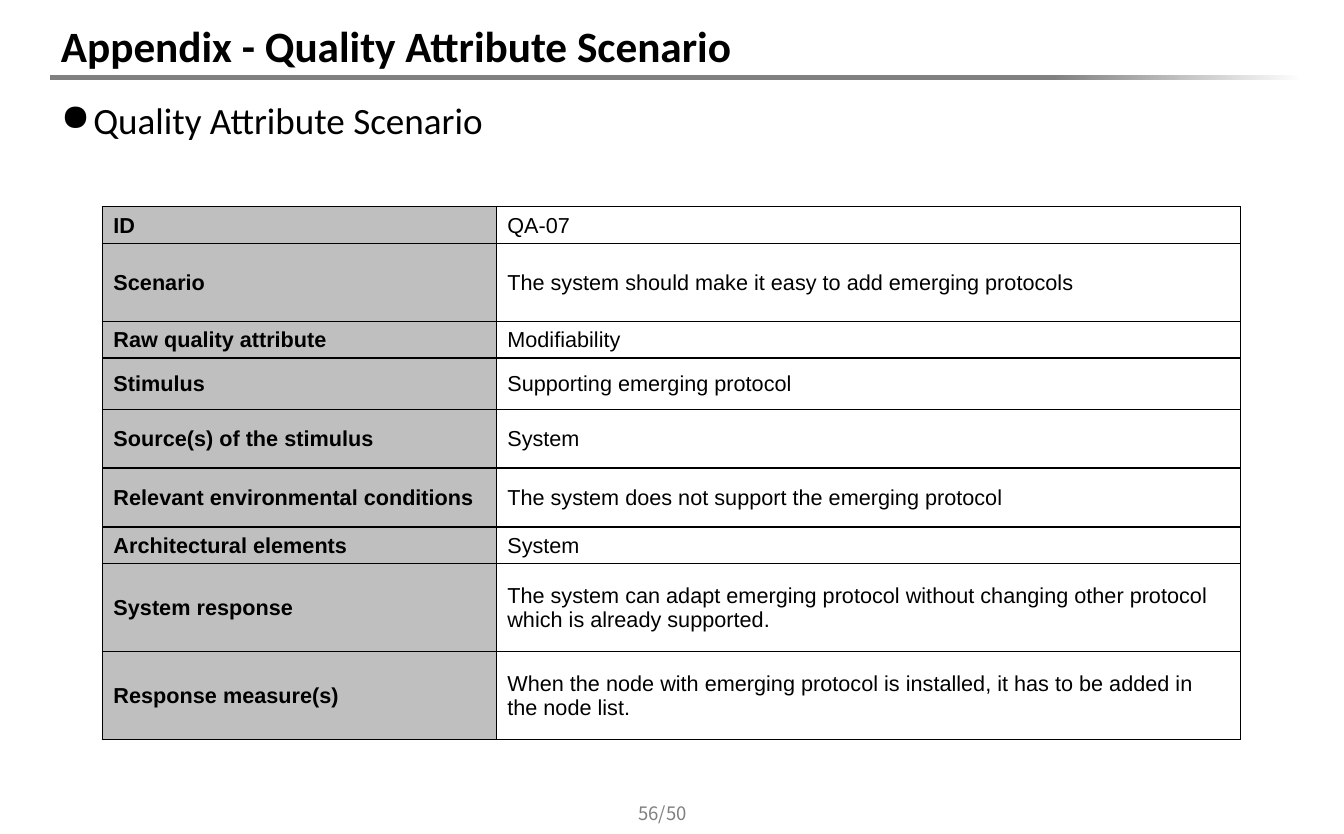
from copy import deepcopy
from lxml import etree
from pptx import Presentation, util as u
from pptx.dml import color
from pptx.enum import shapes, text
from pptx.oxml import ns

I = u.Inches


def rgb(code):
    return color.RGBColor.from_string(code)


def style(frame, words, form, hue="000000", **font):
    frame.word_wrap = True
    for key, val in form.items():
        setattr(frame, key, val)
    par = frame.paragraphs[0]
    run = par.add_run()
    run.text = words
    for key, val in font.items():
        setattr(run.font, key, val)
    run.font.color.rgb = rgb(hue)
    return par


deck = Presentation()
deck.slide_width, deck.slide_height = I(12.08), I(7.5)
slide = deck.slides.add_slide(deck.slide_layouts[6])
mid = {"vertical_anchor": text.MSO_ANCHOR.MIDDLE}

# Rule under the title, fading out to the right
rule = slide.shapes.add_shape(
    shapes.MSO_SHAPE.FLOWCHART_PROCESS, I(0.45), I(0.67), I(11.26), I(0.05))
rule.shadow.inherit = False
rule.line.fill.background()
rule.fill.gradient()
rule.fill.gradient_angle = 0
stops = rule.fill.gradient_stops
for stop, hue in zip(stops, ("808080", "FFFFFF")):
    stop.color.rgb = rgb(hue)
first = rule.element.find(".//" + ns.qn("a:gs"))
hold = deepcopy(first)
hold.set("pos", "80000")
first.addnext(hold)

# Title
title = slide.shapes.add_textbox(I(0.45), I(0.14), I(11.26), I(0.54))
style(title.text_frame, "Appendix - Quality Attribute Scenario", mid,
      name="Calibri", size=u.Pt(28), bold=True)

# Bullet line
body = slide.shapes.add_textbox(I(0.45), I(0.83), I(11.26), I(0.6))
par = style(body.text_frame, "Quality Attribute Scenario", {},
            name="Calibri", size=u.Pt(24))
props = par._p.get_or_add_pPr()
props.set("marL", str(I(0.29)))
props.set("indent", str(-I(0.29)))
etree.SubElement(props, ns.qn("a:buChar"), char="●")

# Scenario table
rows = [
    (0.33, "ID", "QA-07"),
    (0.7, "Scenario",
     "The system should make it easy to add emerging protocols"),
    (0.33, "Raw quality attribute", "Modifiability"),
    (0.46, "Stimulus", "Supporting emerging protocol"),
    (0.53, "Source(s) of the stimulus", "System"),
    (0.53, "Relevant environmental conditions",
     "The system does not support the emerging protocol"),
    (0.33, "Architectural elements", "System"),
    (0.79, "System response",
     "The system can adapt emerging protocol without changing other "
     "protocol which is already supported."),
    (0.79, "Response measure(s)",
     "When the node with emerging protocol is installed, it has to be "
     "added in the node list."),
]
table = slide.shapes.add_table(
    len(rows), 2, I(0.92), I(1.86), I(10.24), I(4.8)).table
table.first_row = table.horz_banding = False
for col, wide in zip(table.columns, (3.54, 6.69)):
    col.width = I(wide)
pad = {"margin_left": I(0.1), "margin_right": I(0.1),
       "margin_top": I(0.01), "margin_bottom": 0}
for r, (high, *words) in enumerate(rows):
    table.rows[r].height = I(high)
    for c, word in enumerate(words):
        cell = table.cell(r, c)
        for key, val in {**pad, **mid}.items():
            setattr(cell, key, val)
        edges = cell._tc.get_or_add_tcPr()
        for side in ("lnL", "lnR", "lnT", "lnB"):
            line = etree.SubElement(edges, ns.qn("a:" + side), w="12700")
            ink = etree.SubElement(line, ns.qn("a:solidFill"))
            etree.SubElement(ink, ns.qn("a:srgbClr"), val="000000")
        if c == 0:
            cell.fill.solid()
            cell.fill.fore_color.rgb = rgb("BFBFBF")
        else:
            cell.fill.background()
        style(cell.text_frame, word, {},
              name="Arial", size=u.Pt(14), bold=c == 0)

# Page number
page = slide.shapes.add_textbox(I(5.41), I(7.19), I(1.09), I(0.24))
par = style(page.text_frame, "56/50", mid, "808080",
            name="Noto Sans CJK KR", size=u.Pt(12))
par.alignment = text.PP_ALIGN.CENTER

deck.save("out.pptx")
